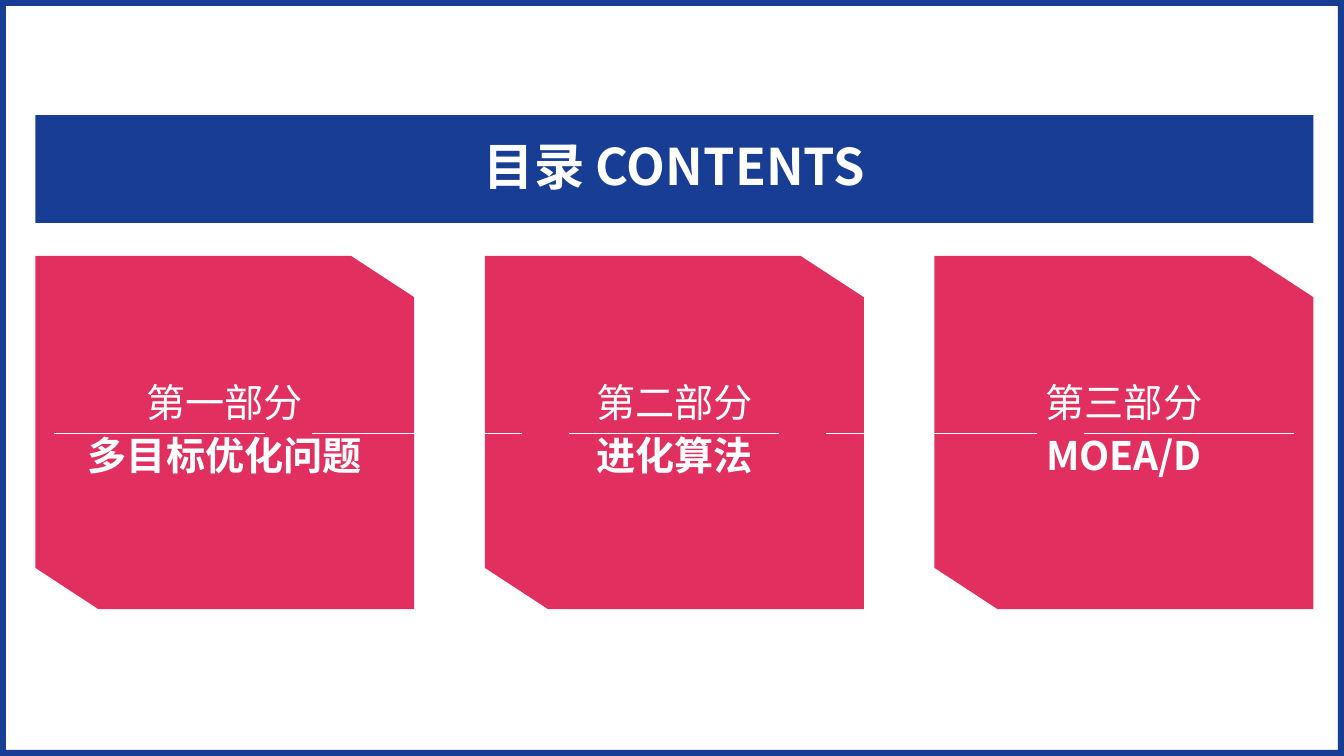
import pptx
import pptx.util
import pptx.dml.color
import pptx.enum.shapes
import pptx.enum.text
import pptx.oxml.ns
from lxml import etree
from pptx.util import Cm, Pt

COLORS = {"blue": "173D95", "red": "E1305F", "white": "FFFFFF"}
FONT = "Noto Sans CJK SC"
SLIDE_WIDTH, SLIDE_HEIGHT = 33.87, 19.05
LEFT, CONTENT_WIDTH = 0.89, 32.21
CARD_WIDTH, CARD_HEIGHT = 9.55, 8.9
SECTIONS = [
    ("第一部分", "多目标优化问题"),
    ("第二部分", "进化算法"),
    ("第三部分", "MOEA/D"),
]


def rgb(name):
    return pptx.dml.color.RGBColor.from_string(COLORS[name])


def paint(shape, color):
    shape.shadow.inherit = False
    shape.fill.solid()
    shape.fill.fore_color.rgb = rgb(color)
    shape.line.fill.background()


def write(shape, lines, size, bold_lines, line_spacing):
    """Centre the lines in the shape; bold_lines holds the indexes set in bold."""
    frame = shape.text_frame
    frame.word_wrap = True
    frame.vertical_anchor = pptx.enum.text.MSO_ANCHOR.MIDDLE
    frame.text = "\n".join(lines)
    for index, paragraph in enumerate(frame.paragraphs):
        paragraph.alignment = pptx.enum.text.PP_ALIGN.CENTER
        paragraph.line_spacing = line_spacing
        paragraph.space_before = Pt(10)
        for run in paragraph.runs:
            run.font.size = Pt(size)
            run.font.bold = index in bold_lines
            run.font.color.rgb = rgb("white")
            run.font.name = FONT
            properties = run._r.get_or_add_rPr()
            east_asian = etree.SubElement(properties, pptx.oxml.ns.qn("a:ea"))
            east_asian.set("typeface", FONT)


def add_border(slide, left, top, width, height):
    border = slide.shapes.add_shape(
        pptx.enum.shapes.MSO_SHAPE.FRAME, Cm(left), Cm(top), Cm(width), Cm(height))
    border.adjustments[0] = 0.008
    paint(border, "blue")


def add_title_band(slide, left, top, width, height):
    band = slide.shapes.add_shape(
        pptx.enum.shapes.MSO_SHAPE.RECTANGLE, Cm(left), Cm(top), Cm(width), Cm(height))
    paint(band, "blue")
    write(band, ["目录 CONTENTS"], 36, {0}, 0.9)


def add_section_card(slide, left, top, width, height, lines):
    """Draw a card whose top right and bottom left corners are cut off."""
    cut_x, cut_y = width / 6, 1.04
    right, bottom = left + width, top + height
    outline = [(right - cut_x, top), (right, top + cut_y), (right, bottom),
               (left + cut_x, bottom), (left, bottom - cut_y)]
    builder = slide.shapes.build_freeform(Cm(left), Cm(top))
    builder.add_line_segments([(Cm(x), Cm(y)) for x, y in outline], close=True)
    card = builder.convert_to_shape()
    paint(card, "red")
    write(card, lines, 28, {1}, 0.83)


def add_divider(slide, left, top, width, dash_count, gap):
    """Split the width into equal dashes with a fixed gap between them."""
    dash = (width - gap * (dash_count - 1)) / dash_count
    for index in range(dash_count):
        start = left + index * (dash + gap)
        line = slide.shapes.add_connector(
            pptx.enum.shapes.MSO_CONNECTOR.STRAIGHT,
            Cm(start), Cm(top), Cm(start + dash), Cm(top))
        line.line.color.rgb = rgb("white")
        line.line.width = Pt(0.5)
        etree.SubElement(line._element.spPr, pptx.oxml.ns.qn("a:effectLst"))


def build_contents_slide(presentation):
    slide = presentation.slides.add_slide(presentation.slide_layouts[6])
    add_border(slide, 0, 0, SLIDE_WIDTH, SLIDE_HEIGHT)
    add_title_band(slide, LEFT, 2.9, CONTENT_WIDTH, 2.72)
    pitch = (CONTENT_WIDTH - CARD_WIDTH) / (len(SECTIONS) - 1)
    for index, lines in enumerate(SECTIONS):
        add_section_card(
            slide, LEFT + index * pitch, 6.45, CARD_WIDTH, CARD_HEIGHT, lines)
    add_divider(slide, 1.37, 10.92, 31.24, 5, 1.18)


def main():
    presentation = pptx.Presentation()
    presentation.slide_width = Cm(SLIDE_WIDTH)
    presentation.slide_height = Cm(SLIDE_HEIGHT)
    build_contents_slide(presentation)
    presentation.save("out.pptx")


if __name__ == "__main__":
    main()
